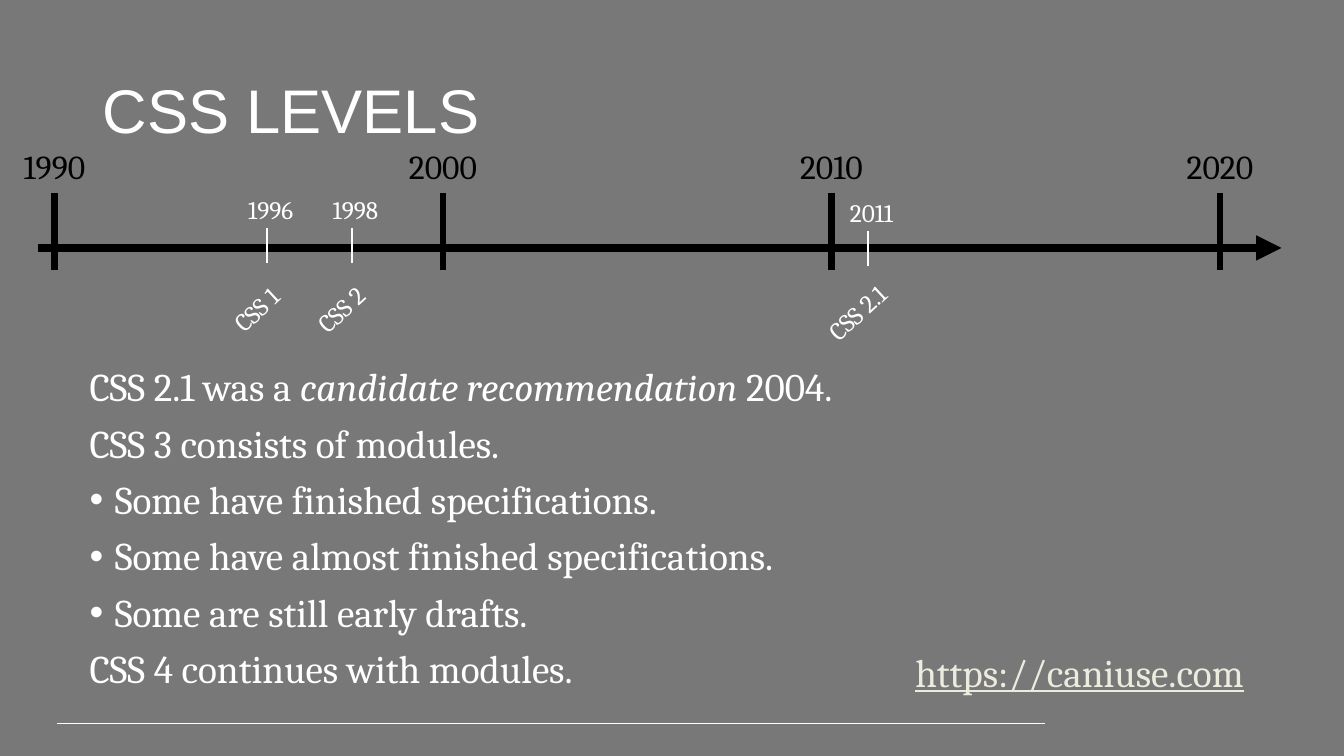
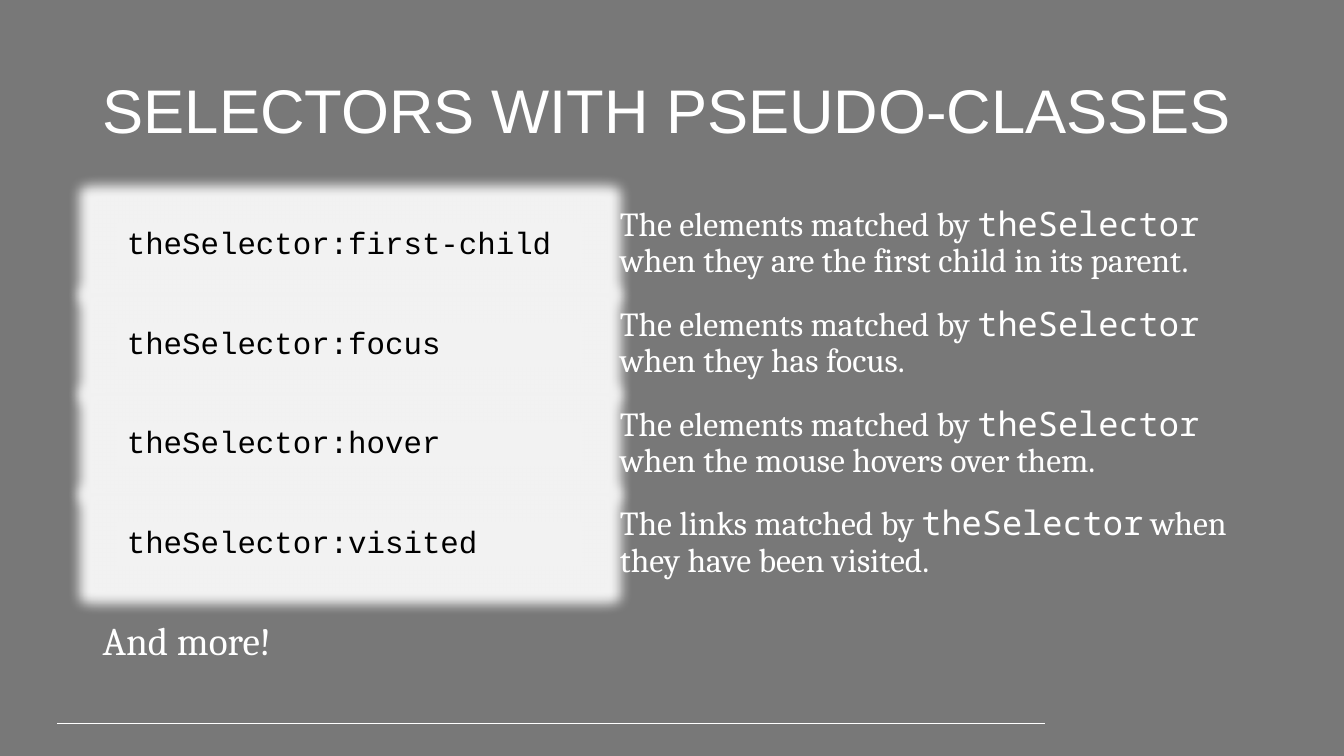
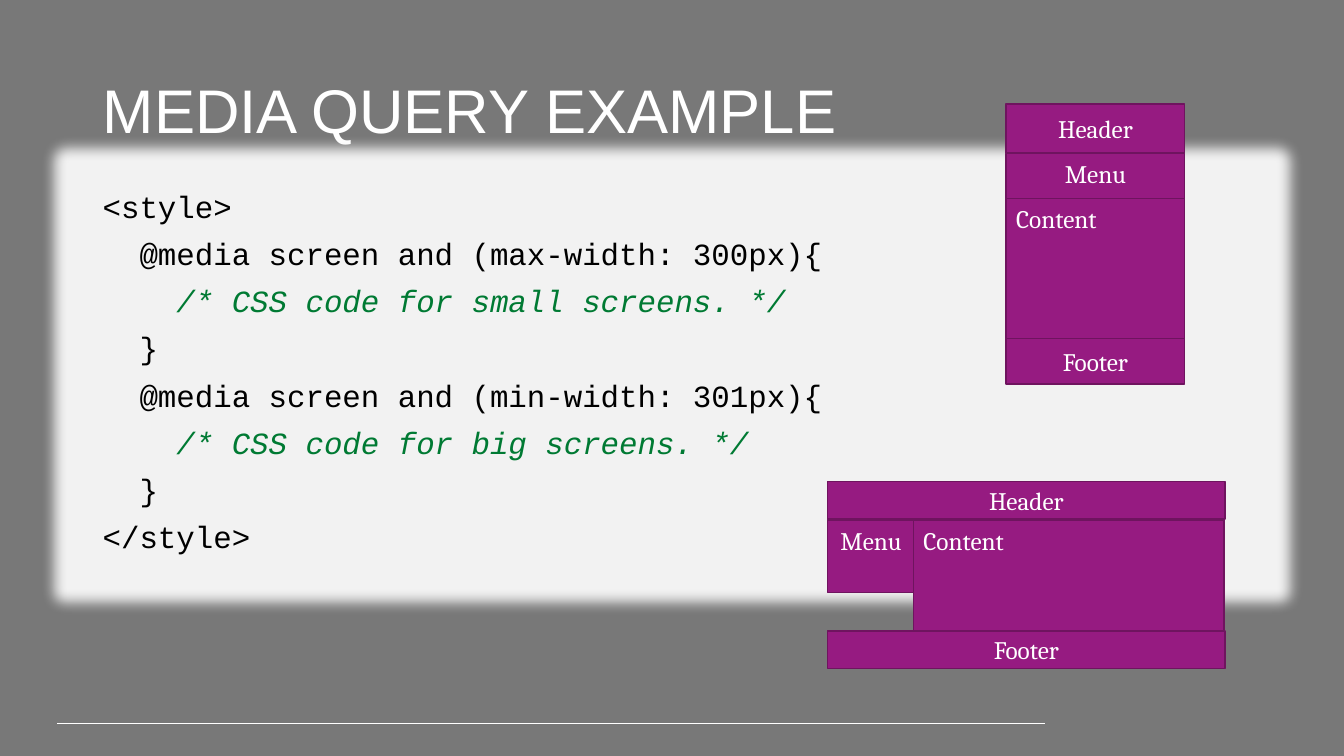
from pptx import Presentation
from pptx.dml.color import RGBColor
from pptx.enum.shapes import MSO_CONNECTOR as Connector, MSO_SHAPE as Shape
from pptx.enum.text import MSO_ANCHOR as Anchor, PP_ALIGN as Align
from pptx.oxml.ns import qn
from pptx.util import Inches, Pt
from lxml.etree import SubElement

COLORS = {
    "background": "787878",
    "white": "FFFFFF",
    "black": "000000",
    "code": "F2F2F2",
    "comment": "007A33",
    "link": "EBEBDF",
    "block": "961B81",
    "border": "6F145F",
}
HEADING, BODY, CODE, MONO = "Arial", "Cambria", "Courier New", "Noto Sans Mono"


def rgb(name):
    return RGBColor.from_string(COLORS[name])


def format_font(font, name, size, color, italic=False, underline=False):
    font.name = name
    font.size = Pt(size)
    font.color.rgb = rgb(color)
    font.italic = italic
    font.underline = underline


def add_bullet(para):
    props = para._p.get_or_add_pPr()
    props.set("marL", str(Inches(0.25)))
    props.set("indent", str(-Inches(0.25)))
    SubElement(props, qn("a:buFont"), typeface="Arial")
    SubElement(props, qn("a:buChar"), char="•")


def write(box, paras, align=Align.LEFT, anchor=Anchor.TOP, wrap=True,
          spacing=1.0, before=0, bullets=(), **font):
    frame = box.text_frame
    frame.word_wrap = wrap
    frame.vertical_anchor = anchor
    for index, spans in enumerate(paras):
        para = frame.add_paragraph() if index else frame.paragraphs[0]
        para.alignment = align
        para.line_spacing = spacing
        para.space_before = Pt(before if index else 0)
        if index in bullets:
            add_bullet(para)
        for text, changes in spans:
            span = para.add_run()
            span.text = text
            format_font(span.font, **{**font, **changes})


def plain(*lines):
    return [[(line, {})] for line in lines]


def add_text(page, place, paras, rotation=0, name=BODY, color="white", **style):
    box = page.shapes.add_textbox(*map(Inches, place))
    box.rotation = rotation
    write(box, paras, name=name, color=color, **style)


def add_rect(shapes, place, fill, border=None):
    rect = shapes.add_shape(Shape.RECTANGLE, *map(Inches, place))
    rect.shadow.inherit = False
    rect.fill.solid()
    rect.fill.fore_color.rgb = rgb(fill)
    if border:
        rect.line.color.rgb = rgb(border)
        rect.line.width = Pt(1)
    else:
        rect.line.fill.background()
    return rect


def add_line(page, start, end, color, width, arrow=False):
    line = page.shapes.add_connector(Connector.STRAIGHT, *map(Inches, start + end))
    line.line.color.rgb = rgb(color)
    line.line.width = Pt(width)
    props = line.element.spPr
    if arrow:
        SubElement(props.find(qn("a:ln")), qn("a:tailEnd"), type="triangle")
    SubElement(props, qn("a:effectLst"))
    return line


def add_code(page, place, paras):
    box = add_rect(page.shapes, place, "code")
    effects = box.element.spPr.find(qn("a:effectLst"))
    glow = SubElement(effects, qn("a:glow"), rad=str(Inches(0.25)))
    SubElement(glow, qn("a:srgbClr"), val=COLORS["code"])
    write(box, paras, name=CODE, size=22, color="black", spacing=0.9, before=10)


def add_page(deck, heading):
    page = deck.slides.add_slide(deck.slide_layouts[5])
    title = page.shapes.title
    title.left, title.top, title.width, title.height = map(Inches, (0.92, 0.4, 11.5, 1.45))
    write(title, plain(heading), anchor=Anchor.MIDDLE, spacing=0.9,
          name=HEADING, size=44, color="white")
    return page


def style_master(deck, page):
    master = deck.slide_master
    master.background.fill.solid()
    master.background.fill.fore_color.rgb = rgb("background")
    rule = add_line(page, (0.57, 7.18), (10.36, 7.18), "white", 0.75)
    master.element.cSld.spTree.append(rule.element)


def add_timeline(page):
    add_line(page, (0.38, 2.46), (12.71, 2.46), "black", 6, arrow=True)
    for index, year in enumerate(("1990", "2000", "2010", "2020")):
        x = 0.54 + index * 11.56 / 3
        add_line(page, (x, 2.68), (x, 1.91), "black", 4.5)
        add_text(page, (x - 0.52, 1.4, 1.04, 0.5), plain(year),
                 align=Align.CENTER, size=24, color="black")
    releases = (
        (2.65, 0, "1996", "CSS 1"),
        (3.49, 0, "1998", "CSS 2"),
        (8.61, 0.03, "2011", "CSS 2.1"),
    )
    for x, drop, year, level in releases:
        add_line(page, (x, 2.61 + drop), (x, 2.26 + drop), "white", 1.5)
        add_text(page, (x - 0.35, 1.88 + drop, 0.77, 0.4), plain(year),
                 align=Align.CENTER, size=18)
        add_text(page, (x - 0.91, 2.87 + drop, 1.6, 0.4), plain(level),
                 rotation=317.4, align=Align.CENTER, size=18)


def build_levels(page):
    add_timeline(page)
    intro = [("CSS 2.1 was a ", {}),
             ("candidate recommendation", {"italic": True}),
             (" 2004.", {})]
    facts = plain(
        "CSS 3 consists of modules.",
        "Some have finished specifications.",
        "Some have almost finished specifications.",
        "Some are still early drafts.",
        "CSS 4 continues with modules.",
    )
    add_text(page, (0.79, 3.6, 8.71, 3.35), [intro] + facts,
             bullets=(2, 3, 4), spacing=0.9, before=10, size=28)
    add_text(page, (8.98, 6.38, 3.83, 0.57), plain("https://caniuse.com"),
             wrap=False, size=28, color="link", underline=True)


def build_selectors(page):
    selectors = (
        ("first-child", "elements", "they are the first child in its parent."),
        ("focus", "elements", "they has focus."),
        ("hover", "elements", "the mouse hovers over them."),
        ("visited", "links", "they have been visited."),
    )
    for index, (state, target, condition) in enumerate(selectors):
        offset = index * 0.99
        add_code(page, (1.16, 2.21 + offset, 4.62, 0.44), plain(f"theSelector:{state}"))
        meaning = [(f"The {target} matched by ", {}),
                   ("theSelector", {"name": MONO}),
                   (f" when {condition}", {})]
        add_text(page, (6.05, 2.01 + offset, 6.36, 0.83), [meaning], spacing=0.9, size=24)
    add_text(page, (0.92, 6.12, 11.5, 0.53), plain("And more!"), spacing=0.9, size=28)


def add_mockup(page, header, menu, content, footer):
    group = page.shapes.add_group_shape()
    blocks = (
        ("Header", header, Align.CENTER, Anchor.MIDDLE),
        ("Menu", menu, Align.CENTER, Anchor.TOP),
        ("Content", content, Align.LEFT, Anchor.TOP),
        ("Footer", footer, Align.CENTER, Anchor.MIDDLE),
    )
    for label, place, align, anchor in blocks:
        block = add_rect(group.shapes, place, "block", "border")
        write(block, plain(label), align=align, anchor=anchor,
              name=BODY, size=18, color="white")


def build_media_query(page):
    comment = {"color": "comment", "italic": True}
    code = plain("<style>")
    for limit, screens in (("max-width: 300px", "small"), ("min-width: 301px", "big")):
        code += plain(f"  @media screen and ({limit}){{")
        code.append([(f"    /* CSS code for {screens} screens. */", comment)])
        code += plain("  }")
    code += plain("</style>")
    add_code(page, (0.92, 1.85, 11.5, 3.75), code)
    add_mockup(page,
               header=(8.21, 4.78, 3.94, 0.37),
               menu=(8.21, 5.16, 0.86, 0.72),
               content=(9.06, 5.16, 3.08, 1.11),
               footer=(8.21, 6.26, 3.94, 0.37))
    add_mockup(page,
               header=(9.98, 1.03, 1.77, 0.49),
               menu=(9.98, 1.52, 1.77, 0.45),
               content=(9.98, 1.97, 1.77, 1.39),
               footer=(9.98, 3.36, 1.77, 0.45))


def main():
    deck = Presentation()
    deck.slide_width, deck.slide_height = Inches(13.33), Inches(7.5)
    levels = add_page(deck, "CSS LEVELS")
    style_master(deck, levels)
    build_levels(levels)
    build_selectors(add_page(deck, "SELECTORS WITH PSEUDO-CLASSES"))
    build_media_query(add_page(deck, "MEDIA QUERY EXAMPLE"))
    deck.save("out.pptx")


if __name__ == "__main__":
    main()
